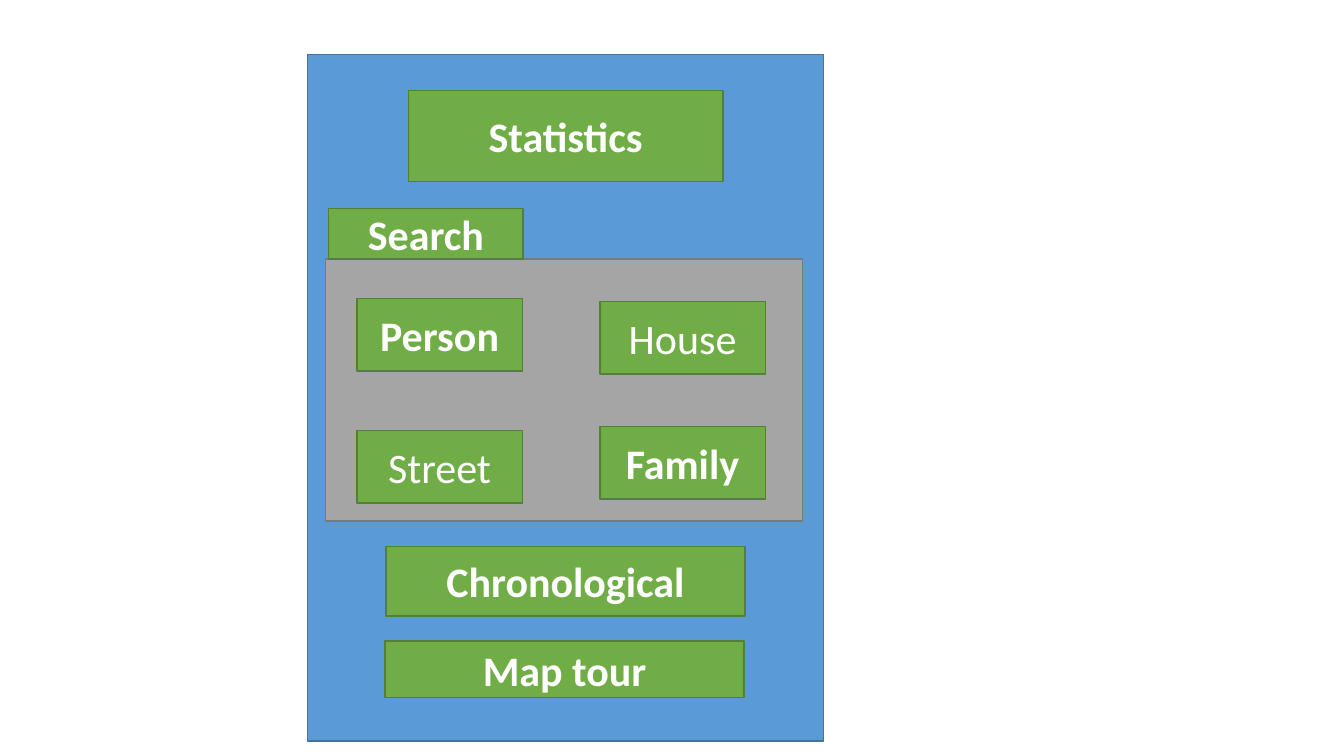
from dataclasses import dataclass

from pptx import Presentation
from pptx.dml.color import RGBColor
from pptx.enum.shapes import MSO_SHAPE
from pptx.enum.text import MSO_ANCHOR, PP_ALIGN
from pptx.util import Inches, Pt


@dataclass(frozen=True)
class Theme:
    # Each pair is fill, outline
    screen: tuple = ("5B9BD5", "43739E")
    group: tuple = ("A5A5A5", "7A7A7A")
    button: tuple = ("70AD47", "538035")
    text: str = "FFFFFF"
    font: str = "Calibri"
    text_size: int = 30
    line_width: int = 1


class MenuSlide:
    def __init__(self, slide, theme):
        self.slide = slide
        self.theme = theme

    def panel(self, left, top, width, height, colors):
        shape = self.slide.shapes.add_shape(
            MSO_SHAPE.RECTANGLE,
            Inches(left), Inches(top), Inches(width), Inches(height))
        fill, outline = colors
        shape.shadow.inherit = False
        shape.fill.solid()
        shape.fill.fore_color.rgb = RGBColor.from_string(fill)
        shape.line.color.rgb = RGBColor.from_string(outline)
        shape.line.width = Pt(self.theme.line_width)
        return shape

    def button(self, label, left, top, width, height, bold=True):
        shape = self.panel(left, top, width, height, self.theme.button)
        frame = shape.text_frame
        frame.word_wrap = True
        frame.vertical_anchor = MSO_ANCHOR.MIDDLE
        paragraph = frame.paragraphs[0]
        paragraph.alignment = PP_ALIGN.CENTER
        paragraph._p.get_or_add_pPr().set("rtl", "1")
        run = paragraph.add_run()
        run.text = label
        run.font.name = self.theme.font
        run.font.size = Pt(self.theme.text_size)
        run.font.bold = bold
        run.font.color.rgb = RGBColor.from_string(self.theme.text)


def main():
    presentation = Presentation()
    presentation.slide_width = Inches(13.33)
    presentation.slide_height = Inches(7.5)
    blank_layout = presentation.slide_layouts[6]
    theme = Theme()
    menu = MenuSlide(presentation.slides.add_slide(blank_layout), theme)

    # Screen and search group
    menu.panel(3.05, 0.54, 5.12, 6.81, theme.screen)
    menu.panel(3.23, 2.57, 4.73, 2.6, theme.group)

    # Main menu
    menu.button("Statistics", 4.05, 0.9, 3.12, 0.9)
    menu.button("Search", 3.26, 2.07, 1.93, 0.5)
    menu.button("Chronological", 3.83, 5.42, 3.56, 0.69)
    menu.button("Map tour", 3.82, 6.36, 3.56, 0.56)

    # Search options share one size
    left_column, right_column = 3.54, 5.95
    for label, left, top, bold in (
        ("Person", left_column, 2.96, True),
        ("House", right_column, 2.99, False),
        ("Street", left_column, 4.27, False),
        ("Family", right_column, 4.23, True),
    ):
        menu.button(label, left, top, 1.64, 0.72, bold)

    presentation.save("out.pptx")


if __name__ == "__main__":
    main()
